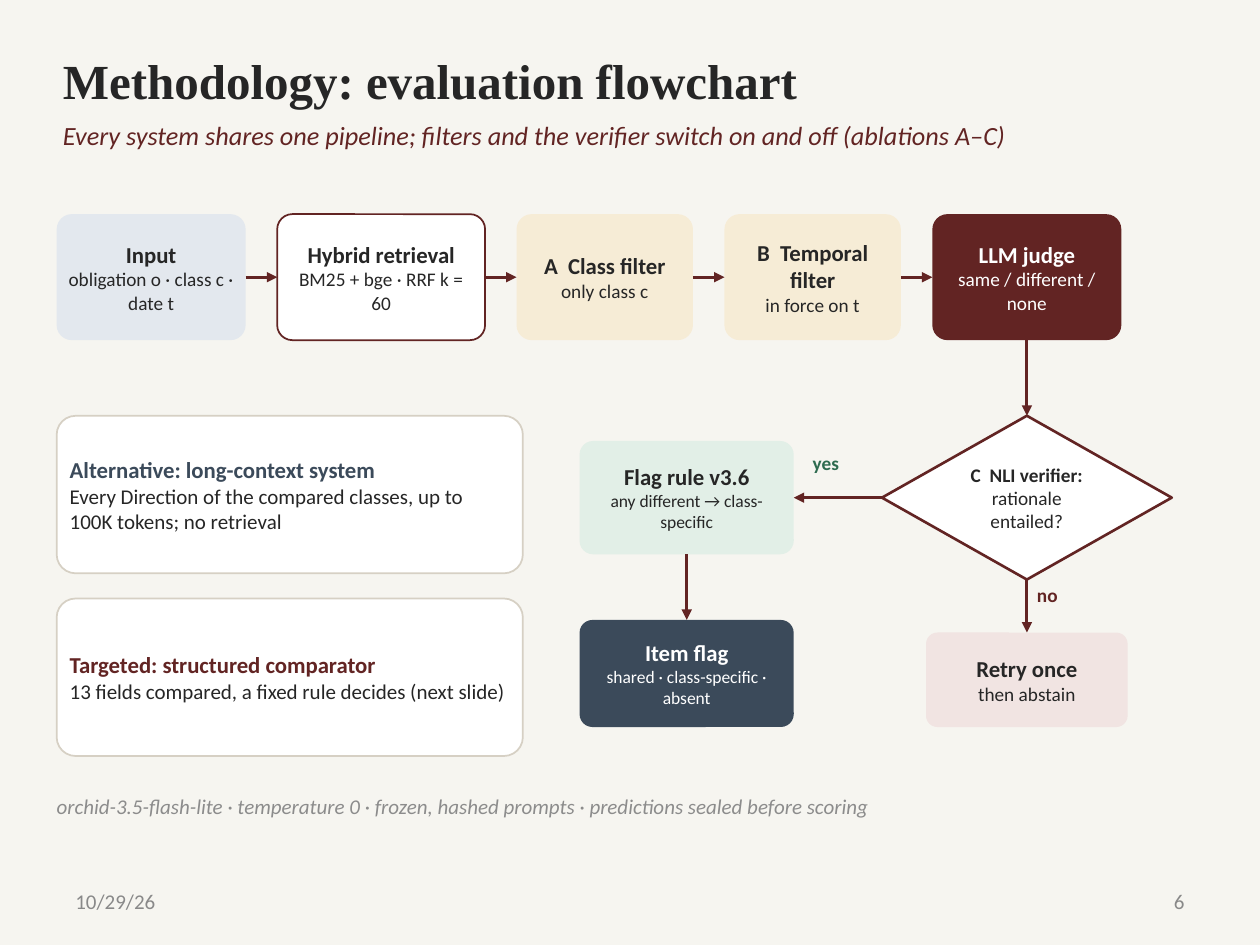
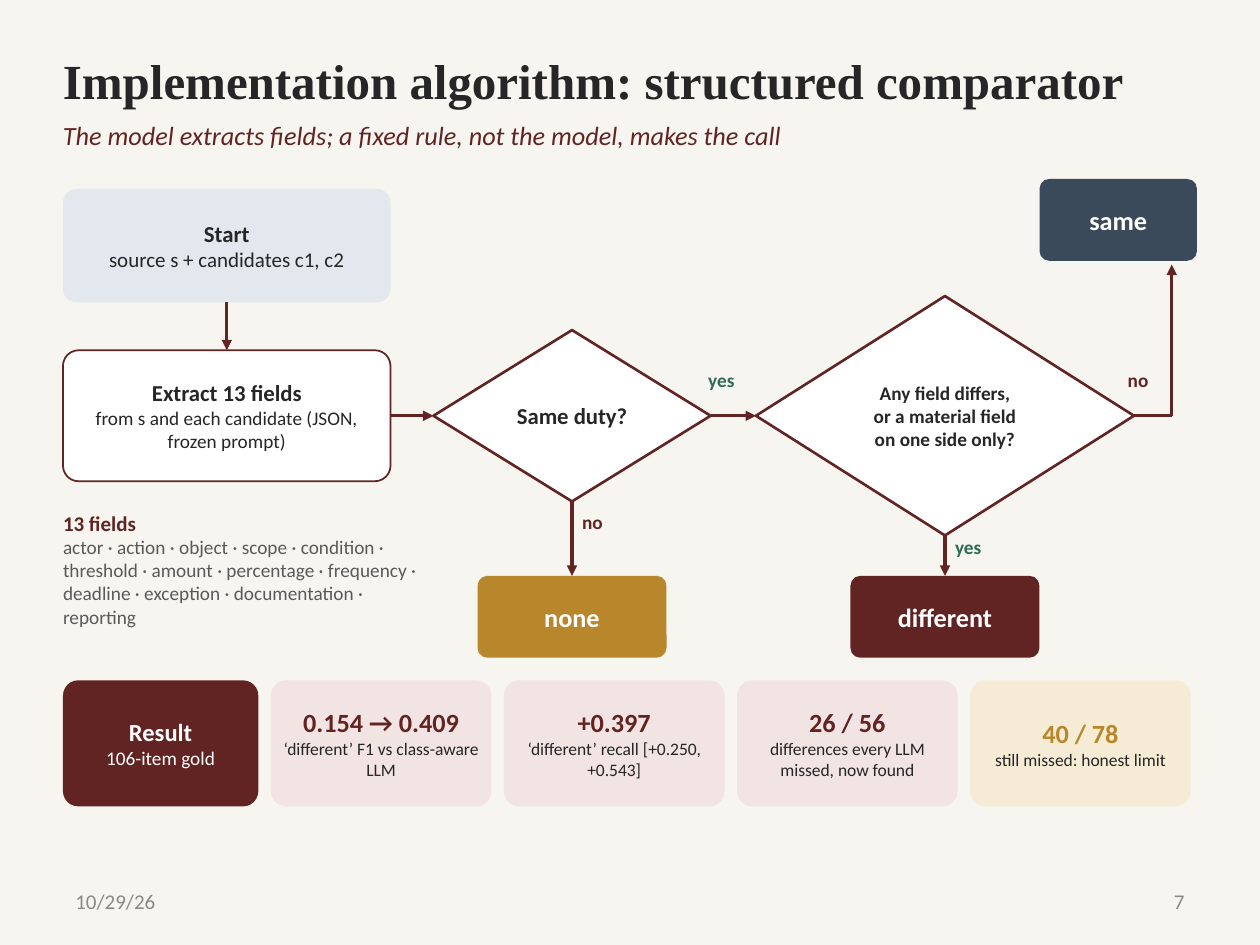
import lxml.etree
import pptx
import pptx.dml.color
import pptx.enum.shapes
import pptx.enum.text
import pptx.oxml.ns
import pptx.util

Inches = pptx.util.Inches
SHAPE = pptx.enum.shapes.MSO_SHAPE
ALIGN = pptx.enum.text.PP_ALIGN
ANCHOR = pptx.enum.text.MSO_ANCHOR
TOP, LEFT, BOTTOM, RIGHT = range(4)

BACKGROUND = "F6F5F0"
INK = "262626"
WHITE = "FFFFFF"
MAROON = "622423"
SLATE = "3B4A5A"
GOLD = "B8862B"
GREEN = "2E6B4F"
PALE_BLUE = "E3E8EE"
PALE_GOLD = "F6ECD6"
PALE_GREEN = "E2EFE7"
PALE_ROSE = "F1E4E2"
STONE = "D6D0C4"
FOOTER_GREY = "898989"
NOTE_GREY = "8C8C8C"
LIST_GREY = "595959"

BODY_FONT = "Calibri"
TITLE_FONT = "Times New Roman"
DATE = "10/29/26"


def rgb(value):
    return pptx.dml.color.RGBColor.from_string(value)


def line_of(text, size, color=INK, bold=False, italic=False, font=BODY_FONT):
    """Describe one paragraph for write()."""
    return text, size, color, bold, italic, font


def write(frame, lines, align, anchor, margins):
    """Fill a text frame; margins are (horizontal, vertical) in inches."""
    frame.word_wrap = True
    frame.vertical_anchor = anchor
    frame.margin_left = frame.margin_right = Inches(margins[0])
    frame.margin_top = frame.margin_bottom = Inches(margins[1])
    for index, (text, size, color, bold, italic, font) in enumerate(lines):
        paragraph = frame.add_paragraph() if index else frame.paragraphs[0]
        paragraph.alignment = align
        run = paragraph.add_run()
        run.text = text
        run.font.name = font
        run.font.size = pptx.util.Pt(size)
        run.font.bold = bold
        run.font.italic = italic
        run.font.color.rgb = rgb(color)


def add_text(slide, box, lines, align=ALIGN.LEFT, anchor=ANCHOR.TOP, margins=(0, 0)):
    shape = slide.shapes.add_textbox(*map(Inches, box))
    write(shape.text_frame, lines, align, anchor, margins)


def add_node(slide, kind, box, lines, fill, outline, weight, align):
    shape = slide.shapes.add_shape(kind, *map(Inches, box))
    shape.shadow.inherit = False
    shape.fill.solid()
    shape.fill.fore_color.rgb = rgb(fill)
    if outline:
        shape.line.color.rgb = rgb(outline)
        shape.line.width = pptx.util.Pt(weight)
    else:
        shape.line.fill.background()
    write(shape.text_frame, lines, align, ANCHOR.MIDDLE, (0.06, 0.03))
    return shape


def add_card(slide, box, lines, fill, outline=None, align=ALIGN.CENTER):
    shape = add_node(slide, SHAPE.ROUNDED_RECTANGLE, box, lines, fill, outline, 1, align)
    shape.adjustments[0] = 0.12
    return shape


def add_step(slide, box, heading, detail, fill, detail_size=11, color=INK, outline=None):
    """Add a card with a bold heading over one line of detail."""
    lines = [line_of(heading, 13, color, bold=True), line_of(detail, detail_size, color)]
    return add_card(slide, box, lines, fill, outline)


def add_outcome(slide, box, text, fill):
    return add_card(slide, box, [line_of(text, 15, WHITE, bold=True)], fill)


def add_decision(slide, box, lines):
    return add_node(slide, SHAPE.DIAMOND, box, lines, WHITE, MAROON, 1.5, ALIGN.CENTER)


def add_line(slide, start=(0, 0), end=(0, 0), arrow=True):
    connector = slide.shapes.add_connector(
        pptx.enum.shapes.MSO_CONNECTOR.STRAIGHT, *map(Inches, start + end))
    connector.line.color.rgb = rgb(MAROON)
    connector.line.width = pptx.util.Pt(1.75)
    if arrow:
        outline = connector.line._get_or_add_ln()
        lxml.etree.SubElement(outline, pptx.oxml.ns.qn("a:tailEnd"), type="triangle")
    properties = connector._element.spPr
    lxml.etree.SubElement(properties, pptx.oxml.ns.qn("a:effectLst"))
    return connector


def join(slide, source, source_side, target, target_side):
    connector = add_line(slide)
    connector.begin_connect(source, source_side)
    connector.end_connect(target, target_side)


def add_answer(slide, left, top, text):
    """Label a branch of a decision with yes or no."""
    color = GREEN if text == "yes" else MAROON
    add_text(slide, (left, top, 0.45, 0.3), [line_of(text, 11, color, bold=True)])


def add_slide(presentation, number, title, subtitle):
    """Add a slide with the shared title, subtitle and footer."""
    slide = presentation.slides.add_slide(presentation.slide_layouts[6])
    for left, text, align in ((0.5, DATE, ALIGN.LEFT), (7.17, str(number), ALIGN.RIGHT)):
        add_text(slide, (left, 6.95, 2.33, 0.4), [line_of(text, 12, FOOTER_GREY)],
                 align, ANCHOR.MIDDLE, (0.1, 0.05))
    add_text(slide, (0.5, 0.32, 9, 0.62),
             [line_of(title, 28, bold=True, font=TITLE_FONT)],
             anchor=ANCHOR.MIDDLE, margins=(0, 0.05))
    add_text(slide, (0.5, 0.95, 9, 0.42), [line_of(subtitle, 15, MAROON, italic=True)])
    return slide


def add_pipeline(slide):
    """Add the top row of steps, joined left to right, and return the last."""
    steps = [
        (1.5, "Input", "obligation o · class c · date t", PALE_BLUE, INK, None),
        (1.65, "Hybrid retrieval", "BM25 + bge · RRF k = 60", WHITE, INK, MAROON),
        (1.4, "A  Class filter", "only class c", PALE_GOLD, INK, None),
        (1.4, "B  Temporal filter", "in force on t", PALE_GOLD, INK, None),
        (1.5, "LLM judge", "same / different / none", MAROON, WHITE, None),
    ]
    left, gap, previous = 0.45, 0.25, None
    for width, heading, detail, fill, color, outline in steps:
        card = add_step(slide, (left, 1.7, width, 1), heading, detail, fill,
                        color=color, outline=outline)
        if previous:
            join(slide, previous, RIGHT, card, LEFT)
        previous = card
        left += width + gap
    return previous


def build_methodology(presentation):
    slide = add_slide(
        presentation, 6, "Methodology: evaluation flowchart",
        "Every system shares one pipeline; filters and the verifier switch on and off "
        "(ablations A–C)")
    judge = add_pipeline(slide)
    verifier = add_decision(slide, (7, 3.3, 2.3, 1.3), [
        line_of("C  NLI verifier:", 11, bold=True),
        line_of("rationale", 11),
        line_of("entailed?", 11),
    ])
    flag_rule = add_step(slide, (4.6, 3.5, 1.7, 0.9), "Flag rule v3.6",
                         "any different → class-specific", PALE_GREEN, 10)
    item_flag = add_step(slide, (4.6, 4.92, 1.7, 0.85), "Item flag",
                         "shared · class-specific · absent", SLATE, 10, WHITE)
    retry = add_step(slide, (7.35, 5.02, 1.6, 0.75), "Retry once", "then abstain", PALE_ROSE)
    join(slide, judge, BOTTOM, verifier, TOP)
    join(slide, verifier, LEFT, flag_rule, RIGHT)
    join(slide, flag_rule, BOTTOM, item_flag, TOP)
    join(slide, verifier, BOTTOM, retry, TOP)
    add_answer(slide, 6.45, 3.58, "yes")
    add_answer(slide, 8.23, 4.63, "no")

    systems = [
        ("Alternative: long-context system", SLATE,
         "Every Direction of the compared classes, up to 100K tokens; no retrieval"),
        ("Targeted: structured comparator", MAROON,
         "13 fields compared, a fixed rule decides (next slide)"),
    ]
    for row, (heading, color, detail) in enumerate(systems):
        add_card(slide, (0.45, 3.3 + 1.45 * row, 3.7, 1.25),
                 [line_of(heading, 13, color, bold=True), line_of(detail, 12)],
                 WHITE, STONE, ALIGN.LEFT)
    add_text(slide, (0.45, 6.3, 9, 0.4), [line_of(
        "orchid-3.5-flash-lite · temperature 0 · frozen, hashed prompts · "
        "predictions sealed before scoring", 12, NOTE_GREY, italic=True)])


def add_results(slide):
    top, height, gap = 5.4, 1, 0.1
    add_card(slide, (0.5, top, 1.55, height),
             [line_of("Result", 14, WHITE, bold=True), line_of("106-item gold", 11, WHITE)],
             MAROON)
    results = [
        ("0.154 → 0.409", "‘different’ F1 vs class-aware LLM", MAROON, PALE_ROSE),
        ("+0.397", "‘different’ recall [+0.250, +0.543]", MAROON, PALE_ROSE),
        ("26 / 56", "differences every LLM missed, now found", MAROON, PALE_ROSE),
        ("40 / 78", "still missed: honest limit", GOLD, PALE_GOLD),
    ]
    width = 1.75
    for column, (figure, meaning, color, fill) in enumerate(results):
        add_card(slide, (2.15 + column * (width + gap), top, width, height),
                 [line_of(figure, 15, color, bold=True), line_of(meaning, 10)], fill)


def build_algorithm(presentation):
    slide = add_slide(
        presentation, 7, "Implementation algorithm: structured comparator",
        "The model extracts fields; a fixed rule, not the model, makes the call")
    start = add_step(slide, (0.5, 1.5, 2.6, 0.9), "Start",
                     "source s + candidates c1, c2", PALE_BLUE, 12)
    extract = add_step(slide, (0.5, 2.78, 2.6, 1.04), "Extract 13 fields",
                       "from s and each candidate (JSON, frozen prompt)", WHITE,
                       outline=MAROON)
    same_duty = add_decision(slide, (3.44, 2.62, 2.2, 1.36),
                             [line_of("Same duty?", 13, bold=True)])
    any_differs = add_decision(slide, (6, 2.35, 3, 1.9), [
        line_of(text, 11, bold=True)
        for text in ("Any field differs,", "or a material field", "on one side only?")
    ])
    none = add_outcome(slide, (3.79, 4.57, 1.5, 0.65), "none", GOLD)
    different = add_outcome(slide, (6.75, 4.57, 1.5, 0.65), "different", MAROON)
    add_outcome(slide, (8.25, 1.42, 1.25, 0.65), "same", SLATE)

    join(slide, start, BOTTOM, extract, TOP)
    join(slide, extract, RIGHT, same_duty, LEFT)
    join(slide, same_duty, BOTTOM, none, TOP)
    join(slide, same_duty, RIGHT, any_differs, LEFT)
    join(slide, any_differs, BOTTOM, different, TOP)
    corner = (9.3, 3.3)
    add_line(slide, (9, 3.3), corner, arrow=False).begin_connect(any_differs, RIGHT)
    add_line(slide, corner, (9.3, 2.1))
    for left, top, text in ((4.62, 4.05, "no"), (5.62, 2.92, "yes"),
                            (7.58, 4.25, "yes"), (8.95, 2.92, "no")):
        add_answer(slide, left, top, text)

    add_text(slide, (0.5, 4.05, 2.85, 1.3), [
        line_of("13 fields", 12, MAROON, bold=True),
        line_of("actor · action · object · scope · condition · threshold · amount · "
                "percentage · frequency · deadline · exception · documentation · "
                "reporting", 11, LIST_GREY),
    ])
    add_results(slide)


def main():
    presentation = pptx.Presentation()
    presentation.slide_width = Inches(10)
    presentation.slide_height = Inches(7.5)
    background = presentation.slide_master.background.fill
    background.solid()
    background.fore_color.rgb = rgb(BACKGROUND)
    build_methodology(presentation)
    build_algorithm(presentation)
    presentation.save("out.pptx")


if __name__ == "__main__":
    main()
